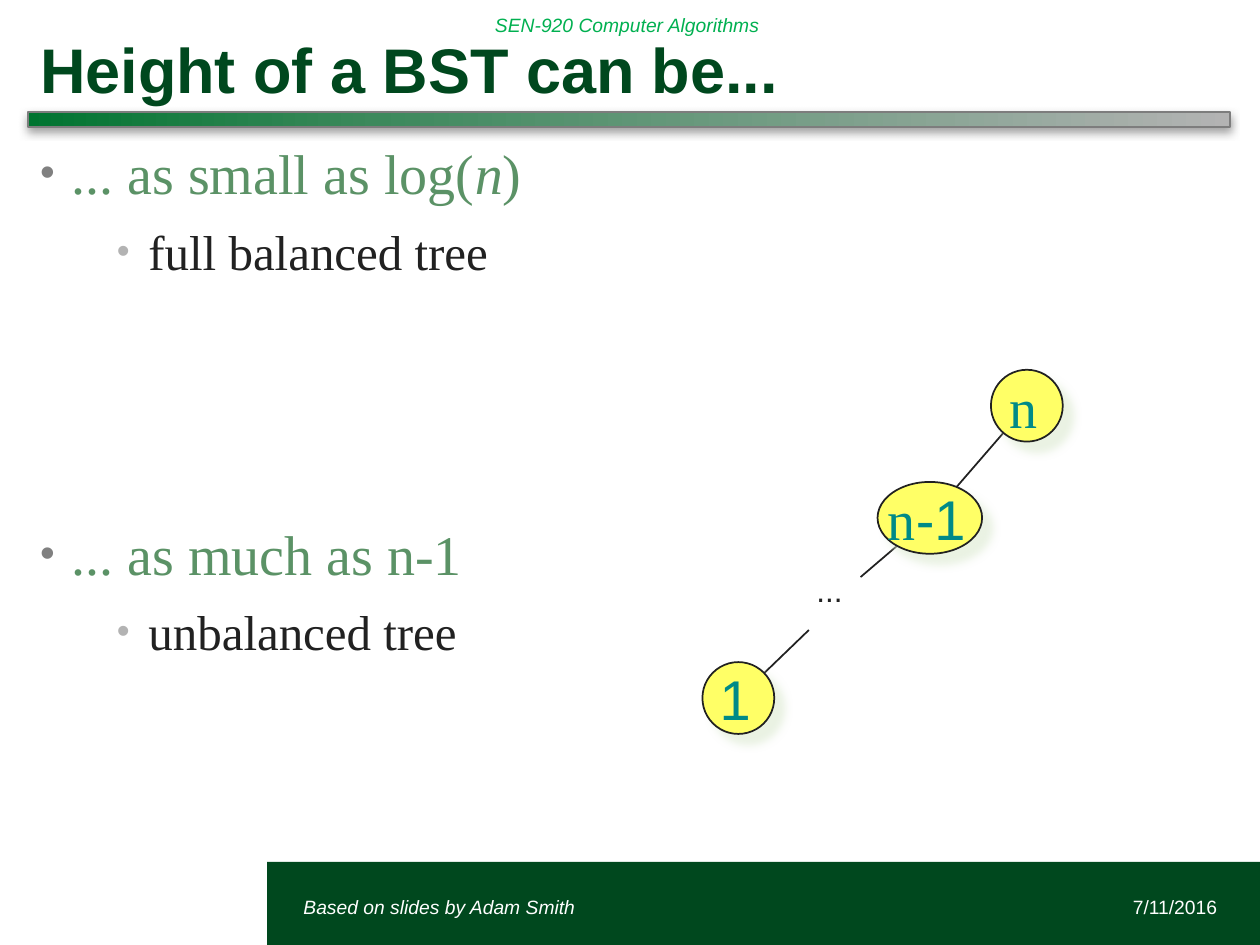
from dataclasses import dataclass

from lxml.etree import SubElement
from pptx import Presentation
from pptx.dml.color import RGBColor
from pptx.enum.shapes import MSO_CONNECTOR, MSO_SHAPE
from pptx.enum.text import MSO_ANCHOR, PP_ALIGN
from pptx.oxml import parse_xml
from pptx.oxml.ns import nsdecls, qn
from pptx.util import Inches, Pt

GREEN, INK, TEAL, WHITE = "00481E", "212121", "008A87", "FFFFFF"
SERIF, SANS = "Times New Roman", "Arial"


@dataclass
class Run:
    text: str
    font: str = SANS
    italic: bool = False


@dataclass
class Node:
    center_x: float
    center_y: float
    width: float
    label: list[Run]


@dataclass
class Edge:
    start: tuple[float, float]
    end: tuple[float, float]


@dataclass
class Level:
    size: int
    color: str
    bullet_color: str
    indent: float
    space_before: int


@dataclass
class Topic:
    top: float
    heading: list[Run]
    detail: str


HEADING = Level(32, "5B9266", "808080", 0.25, 20)
DETAIL = Level(28, INK, "B3B3B3", 0.86, 6)
NODE_HEIGHT = 0.57

NODES = [
    Node(8.15, 3.22, 0.57, [Run("n", SERIF)]),
    Node(7.38, 4.11, 0.83, [Run("n", SERIF), Run("-1")]),
    Node(5.86, 5.54, 0.57, [Run("1")]),
]
EDGES = [
    Edge((8.15, 3.22), (7.38, 4.11)),
    Edge((7.38, 4.11), (6.83, 4.58)),
    Edge((6.42, 5), (5.86, 5.54)),
]
TOPICS = [
    Topic(1.01, [Run("... as small as log(", SERIF), Run("n", SERIF, True), Run(")", SERIF)],
          "full balanced tree"),
    Topic(4.03, [Run("... as much as n-1", SERIF)], "unbalanced tree"),
]


def rgb(color: str) -> RGBColor:
    return RGBColor.from_string(color)


def add_shadow(shape, color: str, blur: int, distance: int, angle: int) -> None:
    shape.shadow.inherit = False
    effects = shape._element.spPr.find(qn("a:effectLst"))
    outer = SubElement(effects, qn("a:outerShdw"), blurRad=str(Pt(blur)),
                       dist=str(Pt(distance)), dir=str(angle * 60000), algn="ctr", rotWithShape="0")
    tint = SubElement(outer, qn("a:srgbClr"), val=color)
    SubElement(tint, qn("a:alpha"), val="75000")


def add_box(slide, left: float, top: float, width: float, height: float,
            anchor=MSO_ANCHOR.MIDDLE, insets=(0.1, 0.05, 0.1, 0.05), wrap: bool = True):
    frame = slide.shapes.add_textbox(
        Inches(left), Inches(top), Inches(width), Inches(height)).text_frame
    frame.word_wrap = wrap
    frame.vertical_anchor = anchor
    frame.margin_left, frame.margin_top, frame.margin_right, frame.margin_bottom = map(Inches, insets)
    return frame


def write(paragraph, runs: list[Run], size: int, color: str, bold: bool = False,
          align=PP_ALIGN.LEFT) -> None:
    paragraph.alignment = align
    paragraph.font.size = Pt(size)
    paragraph.font.bold = bold
    paragraph.font.color.rgb = rgb(color)
    for item in runs:
        run = paragraph.add_run()
        run.text = item.text
        run.font.name = item.font
        run.font.italic = item.italic
        run.font.size = Pt(size)
        run.font.bold = bold
        run.font.color.rgb = rgb(color)


def write_bullet(paragraph, runs: list[Run], level: Level) -> None:
    paragraph.space_before = Pt(level.space_before)
    paragraph.line_spacing = 1.08
    properties = paragraph._p.get_or_add_pPr()
    properties.set("marL", str(Inches(level.indent)))
    properties.set("indent", str(Inches(-0.25)))
    bullet_color = SubElement(properties, qn("a:buClr"))
    SubElement(bullet_color, qn("a:srgbClr"), val=level.bullet_color)
    SubElement(properties, qn("a:buSzPct"), val="75000")
    SubElement(properties, qn("a:buFont"), typeface=SANS)
    SubElement(properties, qn("a:buChar"), char="•")
    write(paragraph, runs, level.size, level.color)


def draw_topic(slide, topic: Topic) -> None:
    frame = add_box(slide, 0.22, topic.top, 9.54, 1.5, MSO_ANCHOR.TOP, (0.1, 0.05, 0.14, 0.05))
    write_bullet(frame.paragraphs[0], topic.heading, HEADING)
    write_bullet(frame.add_paragraph(), [Run(topic.detail, SERIF)], DETAIL)


def draw_edge(slide, edge: Edge) -> None:
    branch = slide.shapes.add_connector(MSO_CONNECTOR.STRAIGHT, *map(Inches, edge.start + edge.end))
    branch.line.color.rgb = rgb(INK)
    branch.line.width = Pt(1)
    SubElement(branch._element.spPr, qn("a:effectLst"))


def draw_node(slide, node: Node) -> None:
    left, top = node.center_x - node.width / 2, node.center_y - NODE_HEIGHT / 2
    oval = slide.shapes.add_shape(MSO_SHAPE.OVAL, Inches(left), Inches(top),
                                  Inches(node.width), Inches(NODE_HEIGHT))
    oval.fill.solid()
    oval.fill.fore_color.rgb = rgb("FFFF66")
    oval.line.color.rgb = rgb(INK)
    oval.line.width = Pt(1)
    add_shadow(oval, "E4EFDB", 5, 8, 45)
    label = add_box(slide, left - 0.05, top - 0.05, node.width + 0.1, NODE_HEIGHT + 0.1,
                    insets=(0.04, 0.04, 0.09, 0.04))
    write(label.paragraphs[0], node.label, 32, TEAL, align=PP_ALIGN.CENTER)


def draw_rule(slide) -> None:
    rule = slide.shapes.add_shape(MSO_SHAPE.RECTANGLE, Inches(0.22), Inches(0.89),
                                  Inches(9.54), Inches(0.12))
    stops = "".join(f'<a:gs pos="{position * 1000}"><a:srgbClr val="{color}"/></a:gs>'
                    for position, color in [(0, "007430"), (29, "3C895C"), (100, "B3B3B3")])
    gradient = parse_xml(f'<a:gradFill {nsdecls("a")} rotWithShape="1"><a:gsLst>{stops}</a:gsLst>'
                         '<a:lin ang="0" scaled="0"/></a:gradFill>')
    rule._element.spPr.find(qn("a:prstGeom")).addnext(gradient)
    rule.line.color.rgb = rgb("7D7D7D")
    rule.line.width = Pt(1)
    add_shadow(rule, "808080", 5, 2, 90)


def draw_footer(slide) -> None:
    band = slide.shapes.add_shape(MSO_SHAPE.RECTANGLE, Inches(2.12), Inches(6.84),
                                  Inches(7.88), Inches(0.66))
    band.shadow.inherit = False
    band.fill.solid()
    band.fill.fore_color.rgb = rgb(GREEN)
    band.line.fill.background()
    date = add_box(slide, 7.43, 7, 2.33, 0.4)
    write(date.paragraphs[0], [Run("7/11/2016")], 11, WHITE, align=PP_ALIGN.RIGHT)
    credit = add_box(slide, 2.31, 7, 4.61, 0.4)
    write(credit.paragraphs[0], [Run("Based on slides by Adam Smith", italic=True)], 11, WHITE)


def main() -> None:
    deck = Presentation()
    deck.slide_width, deck.slide_height = Inches(10), Inches(7.5)
    slide = deck.slides.add_slide(deck.slide_layouts[6])
    draw_footer(slide)
    course = add_box(slide, 3.83, 0, 4.61, 0.4)
    write(course.paragraphs[0], [Run("SEN-920 Computer Algorithms", italic=True)], 11, "00B050")
    draw_rule(slide)
    title = add_box(slide, 0.22, 0.16, 9.54, 0.73, MSO_ANCHOR.BOTTOM, (0.1, 0.05, 0.14, 0.05))
    write(title.paragraphs[0], [Run("Height of a BST can be...")], 36, GREEN, bold=True)
    for topic in TOPICS:
        draw_topic(slide, topic)
    for edge in EDGES:
        draw_edge(slide, edge)
    for node in NODES:
        draw_node(slide, node)
    ellipsis = add_box(slide, 6.48, 4.53, 0.38, 0.47, MSO_ANCHOR.TOP, (0, 0, 0.04, 0), wrap=False)
    write(ellipsis.paragraphs[0], [Run("...")], 18, INK)
    deck.save("out.pptx")


if __name__ == "__main__":
    main()
